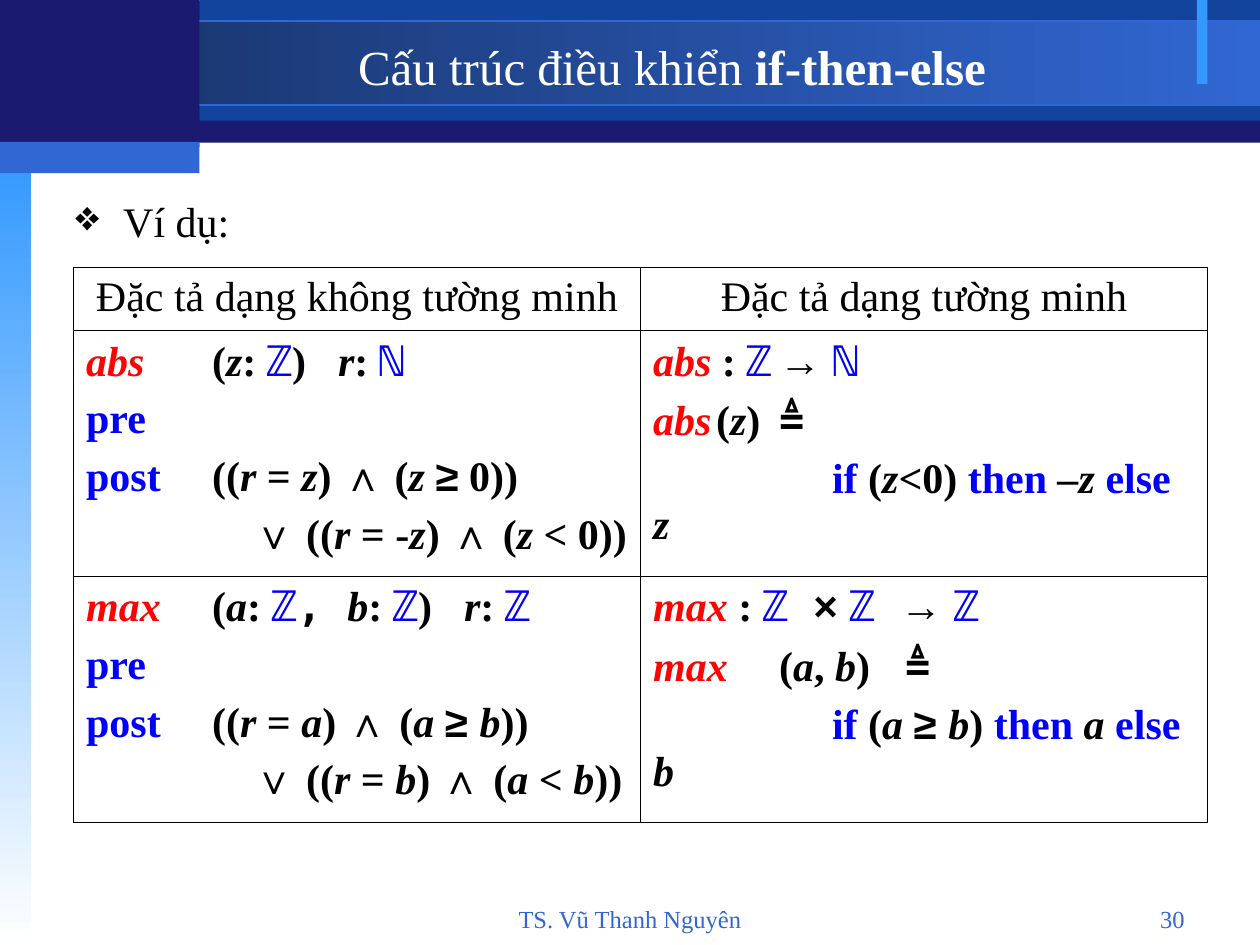
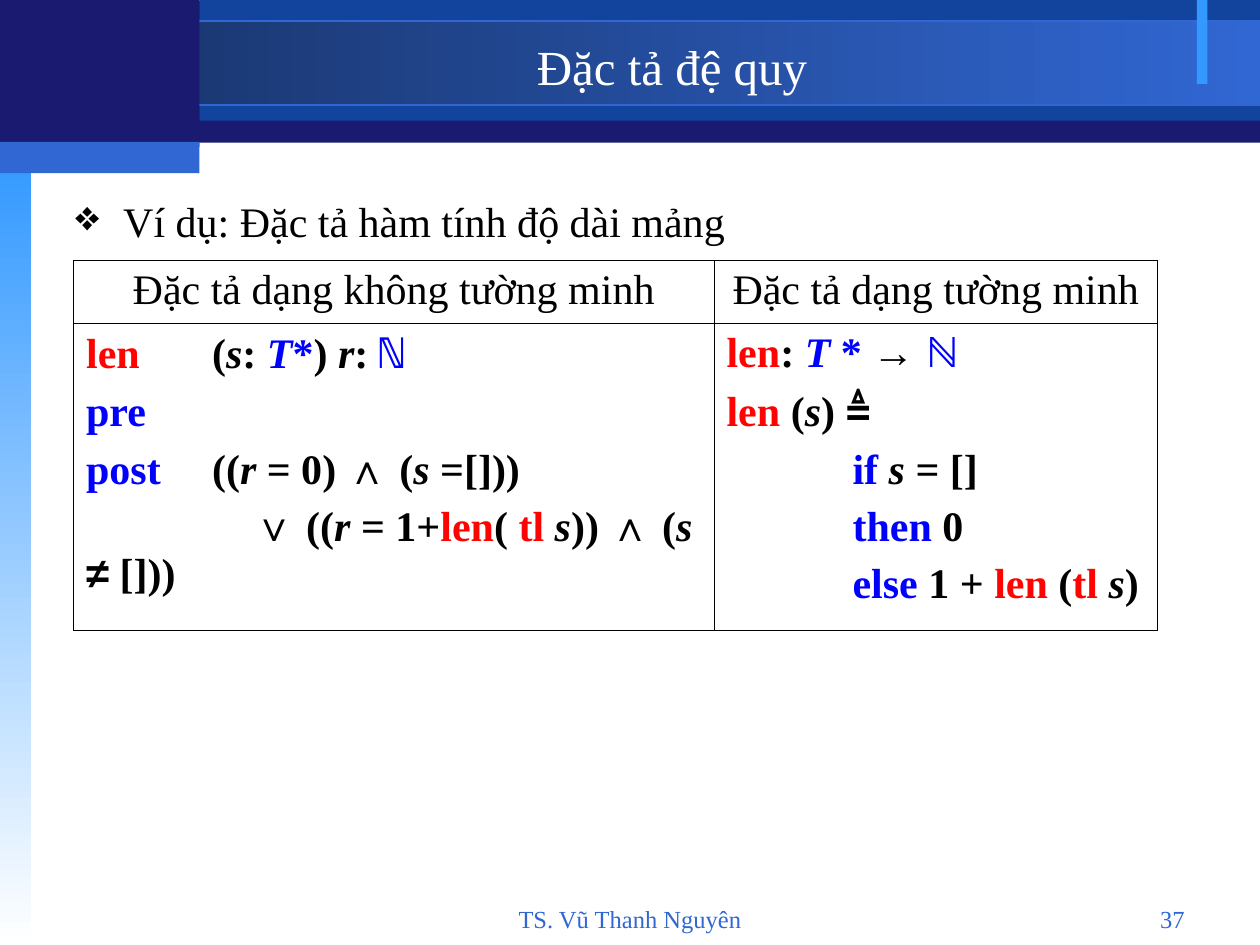
from lxml.etree import SubElement
from pptx import Presentation
from pptx.dml.color import RGBColor
from pptx.enum.shapes import MSO_SHAPE as Shape
from pptx.enum.text import MSO_ANCHOR as Anchor, MSO_AUTO_SIZE as AutoSize, PP_ALIGN as Align
from pptx.oxml.ns import qn
from pptx.util import Inches, Pt

UNIT = Inches(1) / 12
WIDE, HIGH = 120, 90

NAVY = RGBColor(0x1A, 0x1A, 0x70)
ROYAL = RGBColor(0x12, 0x44, 0x9E)
DUSK = RGBColor(0x17, 0x30, 0x62)
AZURE = RGBColor(0x31, 0x67, 0xD3)
SKY = RGBColor(0x33, 0x99, 0xFF)
WHITE = RGBColor(0xFF, 0xFF, 0xFF)
BLACK = RGBColor(0, 0, 0)
RED = RGBColor(0xFF, 0x03, 0x03)
BLUE = RGBColor(0, 0, 0xFF)

SERIF, SANS, MONO = "Times New Roman", "Arial", "DejaVu Sans Mono"
BOLD, ITALIC, RED_MARK, BLUE_MARK, MONO_MARK, SANS_MARK = MARKS = "`_#@~^"
INCH_TABS = (1, 2, 3)
AUTHOR = "TS. Vũ Thanh Nguyên"
HEADINGS = ("Đặc tả dạng không tường minh", "Đặc tả dạng tường minh")

BANDS = [
    ((0, 0.1, WIDE, 13.5), [NAVY], 0),
    ((19, 0, WIDE - 19, 11.5), [ROYAL], 0),
    ((0, 2, WIDE, 8), [DUSK, AZURE], 0),
    ((0, 15, 3, HIGH - 15), [SKY, WHITE], 270),
    ((114, 0, 1, 8), [SKY], 0),
    ((0, 0, 19, 14), [NAVY], 0),
    ((0, 13.5, 19, 3), [AZURE], 0),
]

# Each line of a specification: first-line indent, tab stops, marked text.
ABS_IMPLICIT = [
    (0, INCH_TABS, "_#abs #_\t(_z_: ~@ℤ@~) \t_r_: ~@ℕ@~"),
    (0, INCH_TABS, "@pre@"),
    (0, INCH_TABS, "@post@\t((_r_ = _z_) ^∧^ (_z _^≥^ 0))"),
    (1.33, INCH_TABS, "^∨^ ((_r_ = -_z_) ^∧^ (_z_ < 0))"),
]
ABS_EXPLICIT = [
    (0, (1.11,), "_#abs #_: ~@ℤ@~\t^→ ^~@ℕ@~"),
    (0, (0.71, 1.32), "_#abs#_\t(_z_)\t~≜~"),
    (1.42, INCH_TABS, "@if @(_z_<0) @then@_ –z _@else@_ z_"),
]
MAX_IMPLICIT = [
    (0, INCH_TABS, "_#max #_\t(_a_: ~@ℤ@, ~_b_: ~@ℤ@~) \t_r_: ~@ℤ@~"),
    (0, INCH_TABS, "@pre@"),
    (0, INCH_TABS, "@post@\t((_r_ = _a_) ^∧^ (_a _^≥ ^_b_))"),
    (1.33, INCH_TABS, "^∨^ ((_r_ = _b_) ^∧^ (_a_ < _b_))"),
]
MAX_EXPLICIT = [
    (0, INCH_TABS, "_#max #_: ~@ℤ @~^× ^~@ℤ @~^→ ^~@ℤ@~"),
    (0, (0.76, 1.73), "_#max#_\t(_a_, _b_)\t~≜~"),
    (1.42, INCH_TABS, "@if @(_a _^≥ ^_b_) @then@_ a _@else@_ b_"),
]
LEN_IMPLICIT = [
    (0, INCH_TABS, "#len #\t(_s_: @_T_*@) \t_r_: ~@ℕ@~"),
    (0, INCH_TABS, "@pre@"),
    (0, INCH_TABS, "@post@\t((_r_ = 0) ^∧^ (_s_ =[]))"),
    (1.33, INCH_TABS, "^∨^ ((_r _= 1+#len#( #tl #_s_)) ^∧^ (_s _^≠^ []))"),
]
LEN_EXPLICIT = [
    (0, INCH_TABS, "#len#: @_T _* @^→ ^@ℕ@"),
    (0, INCH_TABS, "#len #(_s_) ~≜~"),
    (1, INCH_TABS, "@if @_s_ = []"),
    (1, INCH_TABS, "@then@ 0"),
    (1, INCH_TABS, "@else@ 1 + #len# (#tl #_s_)"),
]


def grid(*cells):
    return [round(cell * UNIT) for cell in cells]


def split_marks(marked):
    active, piece = frozenset(), ""
    for char in marked:
        if char not in MARKS:
            piece += char
            continue
        if piece:
            yield piece, active
        active, piece = active ^ {char}, ""
    if piece:
        yield piece, active


def write(paragraph, marked, size, color, bold=False, align=Align.LEFT):
    paragraph.alignment = align
    for piece, active in split_marks(marked):
        run = paragraph.add_run()
        run.text = piece
        font = run.font
        font.size = Pt(size)
        font.bold = bold or BOLD in active
        font.italic = ITALIC in active
        font.name = MONO if MONO_MARK in active else SANS if SANS_MARK in active else SERIF
        font.color.rgb = RED if RED_MARK in active else BLUE if BLUE_MARK in active else color


def set_tabs(paragraph, indent, stops):
    properties = paragraph._p.get_or_add_pPr()
    properties.set("marL", "0")
    properties.set("indent", str(Inches(indent)))
    tabs = SubElement(properties, qn("a:tabLst"))
    for stop in stops:
        SubElement(tabs, qn("a:tab"), pos=str(Inches(stop)), algn="l")


def set_bullet(paragraph, mark):
    properties = paragraph._p.get_or_add_pPr()
    properties.set("marL", str(Inches(0.38)))
    properties.set("indent", str(-Inches(0.38)))
    tint = SubElement(properties, qn("a:buClr"))
    SubElement(tint, qn("a:srgbClr"), val=str(BLACK))
    SubElement(properties, qn("a:buChar"), char=mark)


def add_band(slide, place, colors, angle):
    band = slide.shapes.add_shape(Shape.RECTANGLE, *grid(*place))
    band.shadow.inherit = False
    band.line.fill.background()
    if len(colors) == 1:
        band.fill.solid()
        band.fill.fore_color.rgb = colors[0]
    else:
        band.fill.gradient()
        band.fill.gradient_angle = angle
        for stop, color, position in zip(band.fill.gradient_stops, colors, (0, 1)):
            stop.color.rgb = color
            stop.position = position
    return band


def decorate_layout(layout, slide):
    for place, colors, angle in BANDS:
        band = add_band(slide, place, colors, angle)
        if place[1] == 2:
            band.line.color.rgb = AZURE
            band.line.width = Pt(0.75)
        layout.shapes._spTree.append(band._element)


def add_text(slide, place, text, size, color, align=Align.LEFT):
    frame = slide.shapes.add_textbox(*grid(*place)).text_frame
    frame.word_wrap = True
    write(frame.paragraphs[0], text, size, color, align=align)
    return frame.paragraphs[0]


def set_title(slide, text):
    title = slide.shapes.title
    title.left, title.top, title.width, title.height = grid(19, 2.75, 90, 7)
    frame = title.text_frame
    frame.auto_size = AutoSize.NONE
    frame.vertical_anchor = Anchor.MIDDLE
    write(frame.paragraphs[0], text, 28, WHITE, align=Align.CENTER)


def outline(cell):
    properties = cell._tc.get_or_add_tcPr()
    for side in ("lnL", "lnR", "lnT", "lnB"):
        edge = SubElement(properties, qn(f"a:{side}"), w=str(Pt(0.45)))
        ink = SubElement(edge, qn("a:solidFill"))
        SubElement(ink, qn("a:srgbClr"), val=str(BLACK))
    cell.fill.background()


def write_specification(cell, lines):
    frame = cell.text_frame
    for number, (indent, stops, marked) in enumerate(lines):
        paragraph = frame.add_paragraph() if number else frame.paragraphs[0]
        if number:
            paragraph.space_before = Pt(6)
        set_tabs(paragraph, indent, stops)
        write(paragraph, marked, 24, BLACK, bold=True)


def add_specifications(slide, top, widths, row_height, pairs):
    heights = [6] + [row_height] * len(pairs)
    place = grid(7, top, sum(widths), sum(heights))
    table = slide.shapes.add_table(len(heights), len(widths), *place).table
    table.first_row = table.horz_banding = False
    for column, width in zip(table.columns, grid(*widths)):
        column.width = width
    for row, height in zip(table.rows, grid(*heights)):
        row.height = height
    for cell in table.iter_cells():
        outline(cell)
    for column, heading in enumerate(HEADINGS):
        write(table.cell(0, column).text_frame.paragraphs[0], heading, 24, BLACK, align=Align.CENTER)
    for row, pair in enumerate(pairs, 1):
        for column, lines in enumerate(pair):
            write_specification(table.cell(row, column), lines)


def fill_slide(slide, number, title, example):
    set_title(slide, title)
    add_text(slide, (41, 85.5, 38, 3.25), AUTHOR, 14, AZURE, Align.CENTER)
    add_text(slide, (86, 85.5, 28, 3.25), number, 14, AZURE, Align.RIGHT)
    set_bullet(add_text(slide, (6, 18, 108, 66), example, 24, BLACK), "❖")


def main():
    deck = Presentation()
    deck.slide_width, deck.slide_height = grid(WIDE, HIGH)
    layout = deck.slide_layouts[5]

    branching = deck.slides.add_slide(layout)
    decorate_layout(layout, branching)
    fill_slide(branching, "30", "Cấu trúc điều khiển `if-then-else`", "Ví dụ:")
    add_specifications(branching, 25.5, (54, 54), 23.3,
                       [(ABS_IMPLICIT, ABS_EXPLICIT), (MAX_IMPLICIT, MAX_EXPLICIT)])

    recursion = deck.slides.add_slide(layout)
    fill_slide(recursion, "37", "Đặc tả đệ quy", "Ví dụ: Đặc tả hàm tính độ dài mảng")
    add_specifications(recursion, 24.8, (61, 42.25), 29, [(LEN_IMPLICIT, LEN_EXPLICIT)])

    deck.save("out.pptx")


if __name__ == "__main__":
    main()
